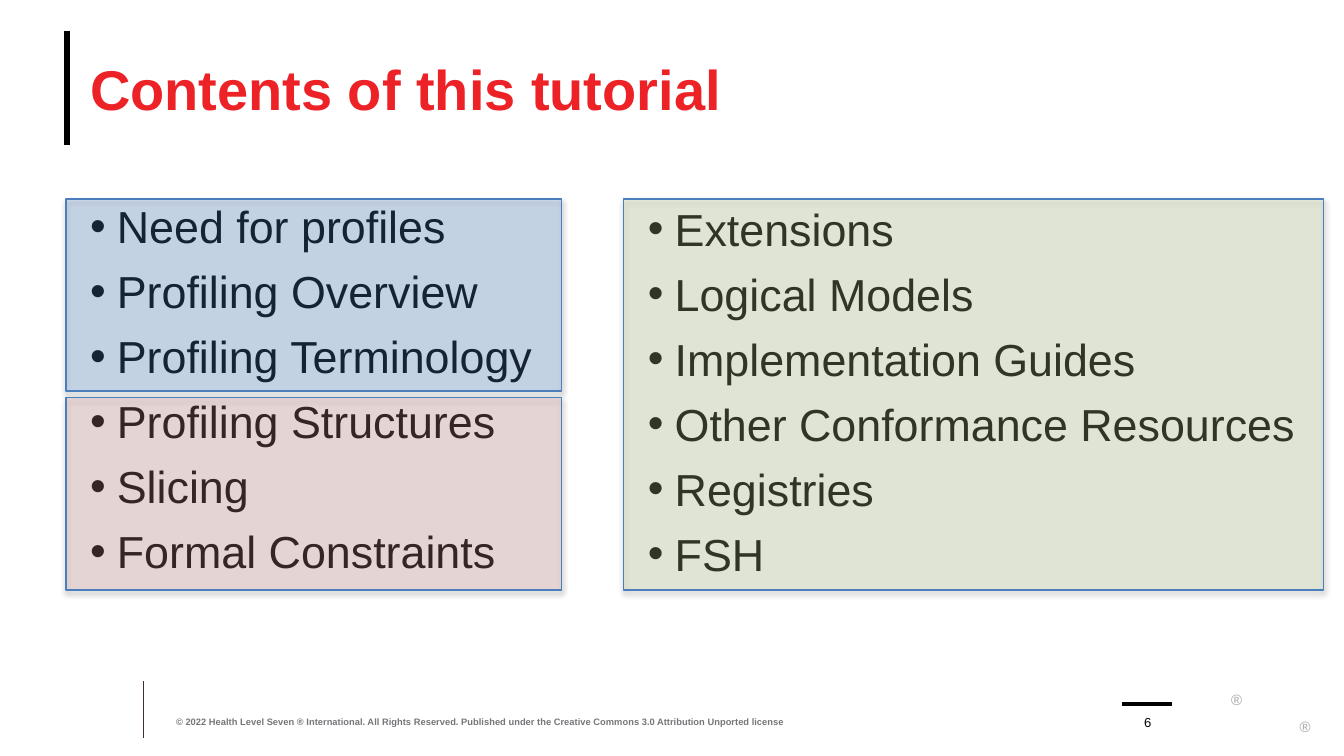
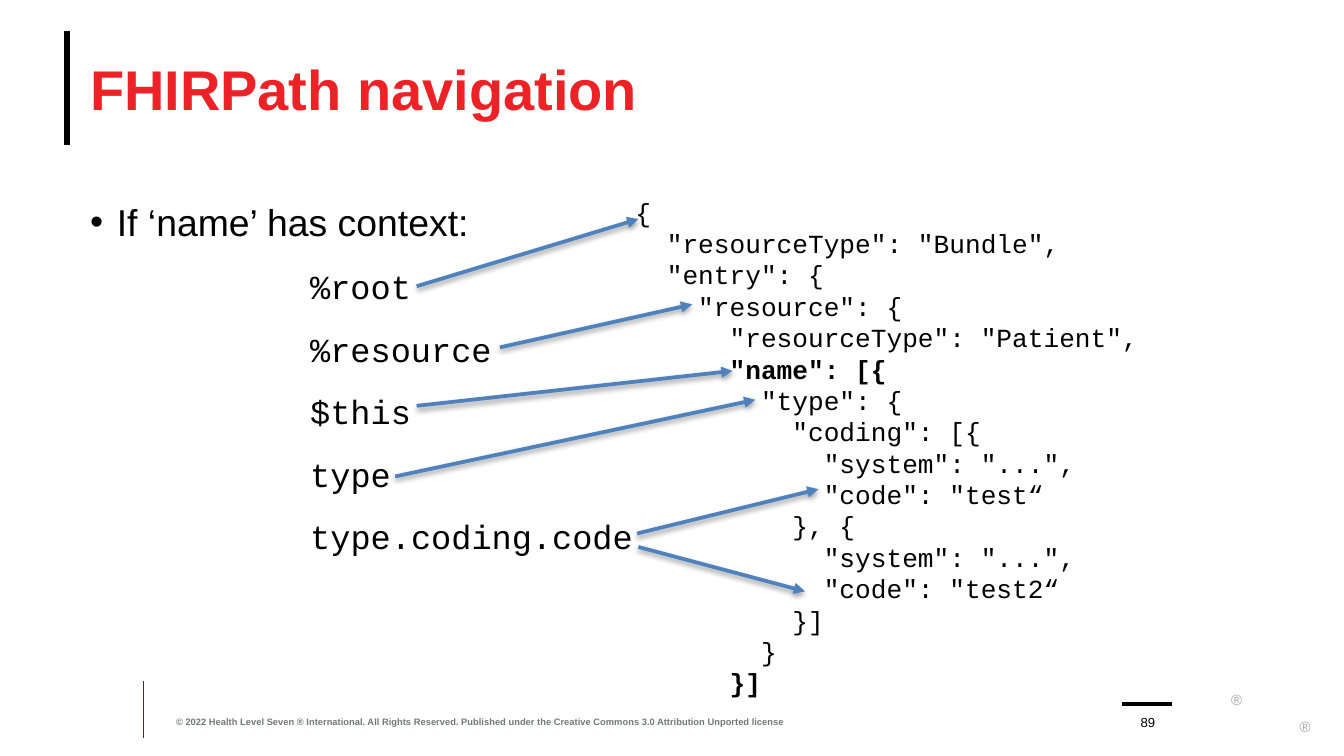
from dataclasses import dataclass

from lxml.etree import SubElement
from pptx import Presentation
from pptx.dml.color import RGBColor
from pptx.enum.shapes import MSO_CONNECTOR, MSO_SHAPE
from pptx.enum.text import MSO_ANCHOR, PP_ALIGN
from pptx.oxml.ns import qn
from pptx.util import Inches, Pt

# Widescreen slide with square grid cells, 100 columns across
WIDTH = Inches(10)
HEIGHT = WIDTH * 9 // 16
COLUMN = ROW = WIDTH / 100

SANS, MONO = "Arial", "Courier New"
BLACK = RGBColor(0x00, 0x00, 0x00)
RED = RGBColor(0xEC, 0x22, 0x27)
RULE_BROWN = RGBColor(0x3D, 0x30, 0x29)
FOOTER_GREY = RGBColor(0x74, 0x76, 0x79)
MARK_GREY = RGBColor(0xA6, 0xA6, 0xA6)
ARROW_BLUE = RGBColor(0x4F, 0x81, 0xBD)
BORDER_BLUE = RGBColor(0x4B, 0x7E, 0xBC)
BAND_BLUE = RGBColor(0x55, 0x8E, 0xD5)
BAND_ROSE = RGBColor(0xD9, 0x96, 0x94)
BAND_GREEN = RGBColor(0xC3, 0xD6, 0x9B)

COPYRIGHT = (
    "© 2022 Health Level Seven ® International. All Rights Reserved. "
    "Published under the Creative Commons 3.0 Attribution Unported license"
)
FIRST_TOPICS = [
    "Need for profiles", "Profiling Overview", "Profiling Terminology",
    "Profiling Structures", "Slicing", "Formal Constraints",
]
SECOND_TOPICS = [
    "Extensions", "Logical Models", "Implementation Guides",
    "Other Conformance Resources", "Registries", "FSH",
]
BUNDLE = '''{
  "resourceType": "Bundle",
  "entry": {
    "resource": {
      "resourceType": "Patient",
      "name": [{
        "type": {
          "coding": [{
            "system": "...",
            "code": "test“
          }, {
            "system": "...",
            "code": "test2“
          }]
        }
      }]'''.split("\n")
BOLD_LINES = ('      "name": [{', "      }]")

# Each expression: its box width and its arrows, as grid offsets from the box
EXPRESSIONS = [
    ("%root", 9.6, [((8.9, 2), (25.4, -3))]),
    ("%resource", 15.6, [((15.1, 1.9), (29.4, -1.3))]),
    ("$this", 9.6, [((8.9, 1.6), (32.4, -1))]),
    ("type", 8.1, [((7.3, 2.2), (34.1, -3.5))]),
    ("type.coding.code", 26.1,
     [((25.3, 1.8), (38.8, -1.5)), ((25.4, 2.8), (37.8, 6.1))]),
]


@dataclass
class Box:
    left: float
    top: float
    width: float
    height: float

    def emu(self):
        return (int(self.left * COLUMN), int(self.top * ROW),
                int(self.width * COLUMN), int(self.height * ROW))


CONTENT = Box(4.9, 14.8, 93.6, 29.1)
BODY = Box(6.7, 14.8, 90, 33.9)


def add_shadow(shape, opacity, distance):
    effects = SubElement(shape.element.spPr, qn("a:effectLst"))
    shadow = SubElement(effects, qn("a:outerShdw"), blurRad=str(Pt(3.1)),
                        dist=str(Pt(distance)), dir="5400000", rotWithShape="0")
    color = SubElement(shadow, qn("a:srgbClr"), val=str(BLACK))
    SubElement(color, qn("a:alpha"), val=str(opacity * 1000))


def add_line(slide, start, end, color, width, arrow=False):
    line = slide.shapes.add_connector(
        MSO_CONNECTOR.STRAIGHT,
        int(start[0] * COLUMN), int(start[1] * ROW),
        int(end[0] * COLUMN), int(end[1] * ROW))
    line.line.color.rgb = color
    line.line.width = Pt(width)
    if arrow:
        outline = line.element.spPr.find(qn("a:ln"))
        SubElement(outline, qn("a:tailEnd"), type="triangle")
        add_shadow(line, 38, 1.6)
    else:
        SubElement(line.element.spPr, qn("a:effectLst"))


def add_text(slide, box, lines, size, color=BLACK, font=SANS, bold=(),
             insets=(0, 0), anchor=MSO_ANCHOR.TOP, align=PP_ALIGN.LEFT,
             bullets=False, wrap=True):
    frame = slide.shapes.add_textbox(*box.emu()).text_frame
    frame.word_wrap = wrap
    frame.vertical_anchor = anchor
    frame.margin_left = frame.margin_right = Inches(insets[0])
    frame.margin_top = frame.margin_bottom = Inches(insets[1])
    for index, line in enumerate(lines):
        paragraph = frame.paragraphs[0] if index == 0 else frame.add_paragraph()
        paragraph.alignment = align
        if bullets:
            properties = paragraph._p.get_or_add_pPr()
            properties.set("marL", str(Inches(0.2)))
            properties.set("indent", str(Inches(-0.2)))
            if index:
                paragraph.space_before = Pt(6)
            SubElement(properties, qn("a:buFont"), typeface=SANS)
            SubElement(properties, qn("a:buChar"), char="•")
        run = paragraph.add_run()
        run.text = line
        run.font.name = font
        run.font.size = Pt(size)
        run.font.bold = line in bold
        run.font.color.rgb = color


def add_header(slide, box, title):
    add_line(slide, (box.left, box.top), (box.left, box.top + box.height),
             BLACK, 3.25)
    add_text(slide, Box(box.left + 1.7, box.top, 90, box.height), [title], 30,
             RED, bold=[title], anchor=MSO_ANCHOR.MIDDLE)


def add_footer(slide, box, number):
    left, top = box.left, box.top
    add_line(slide, (left, top), (left, top + box.height), RULE_BROWN, 0.5)
    add_text(slide, Box(left + 2.4, top + 1.7, 49.5, 1.7), [COPYRIGHT], 5,
             FOOTER_GREY, bold=[COPYRIGHT], anchor=MSO_ANCHOR.BOTTOM)
    # Page number under its short rule
    add_line(slide, (left + 72.8, top + 1.7), (left + 76.5, top + 1.7), BLACK, 2)
    add_text(slide, Box(left + 73.2, top + 1.7, 3, 1.9), [str(number)], 7,
             anchor=MSO_ANCHOR.BOTTOM, align=PP_ALIGN.CENTER)
    # Registered marks
    for across, down in ((80.9, 0.3), (86, 2.3)):
        add_text(slide, Box(left + across, top + down, 1.1, 0.9), ["®"], 8,
                 MARK_GREY, insets=(0, 0.05))


def add_band(slide, box, color):
    band = slide.shapes.add_shape(MSO_SHAPE.RECTANGLE, *box.emu())
    band.fill.solid()
    band.fill.fore_color.rgb = color
    tint = band.element.spPr.find(qn("a:solidFill"))[0]
    SubElement(tint, qn("a:alpha"), val="25000")
    band.line.color.rgb = BORDER_BLUE
    band.line.width = Pt(0.75)
    add_shadow(band, 35, 1.8)


def add_topics(slide, box):
    add_text(slide, BODY, FIRST_TOPICS, 24, bullets=True)
    add_text(slide, Box(box.left + 43.3, box.top + 0.2, 51.8, 31.2),
             SECOND_TOPICS, 24, bullets=True)
    # Tinted bands over the topic groups
    gap, left_width, right_width = 0.5, 36.9, 52.1
    half = (box.height - gap) / 2
    for index, color in enumerate((BAND_BLUE, BAND_ROSE)):
        top = box.top + index * (half + gap)
        add_band(slide, Box(box.left, top, left_width, half), color)
    add_band(slide, Box(box.left + box.width - right_width, box.top,
                        right_width, box.height), BAND_GREEN)


def add_expressions(slide, box):
    step = box.height / len(EXPRESSIONS)
    for index, (expression, width, arrows) in enumerate(EXPRESSIONS):
        top = box.top + index * step
        for start, end in arrows:
            add_line(slide, (box.left + start[0], top + start[1]),
                     (box.left + end[0], top + end[1]), ARROW_BLUE, 2, arrow=True)
        add_text(slide, Box(box.left, top, width, 4), [expression], 18,
                 font=MONO, insets=(0.1, 0.05), wrap=False)


def add_navigation(slide, box):
    add_text(slide, BODY, ["If ‘name’ has context:"], 20, bullets=True)
    # Bundle listing
    add_text(slide, Box(box.left + 41.4, box.top - 0.7, 40.1, 41.1), BUNDLE, 14,
             font=MONO, bold=BOLD_LINES, insets=(0.1, 0.05))
    add_expressions(slide, Box(box.left + 17.2, box.top + 4.5, 26.1, 23.25))


def add_slide(deck, title, number, add_content):
    slide = deck.slides.add_slide(deck.slide_layouts[6])
    add_header(slide, Box(5, 2.3, 91.7, 8.5), title)
    add_footer(slide, Box(10.7, 50.7, 87, 4.2), number)
    add_content(slide, CONTENT)


def main():
    deck = Presentation()
    deck.slide_width, deck.slide_height = WIDTH, HEIGHT
    add_slide(deck, "Contents of this tutorial", 6, add_topics)
    add_slide(deck, "FHIRPath navigation", 89, add_navigation)
    deck.save("out.pptx")


if __name__ == "__main__":
    main()
